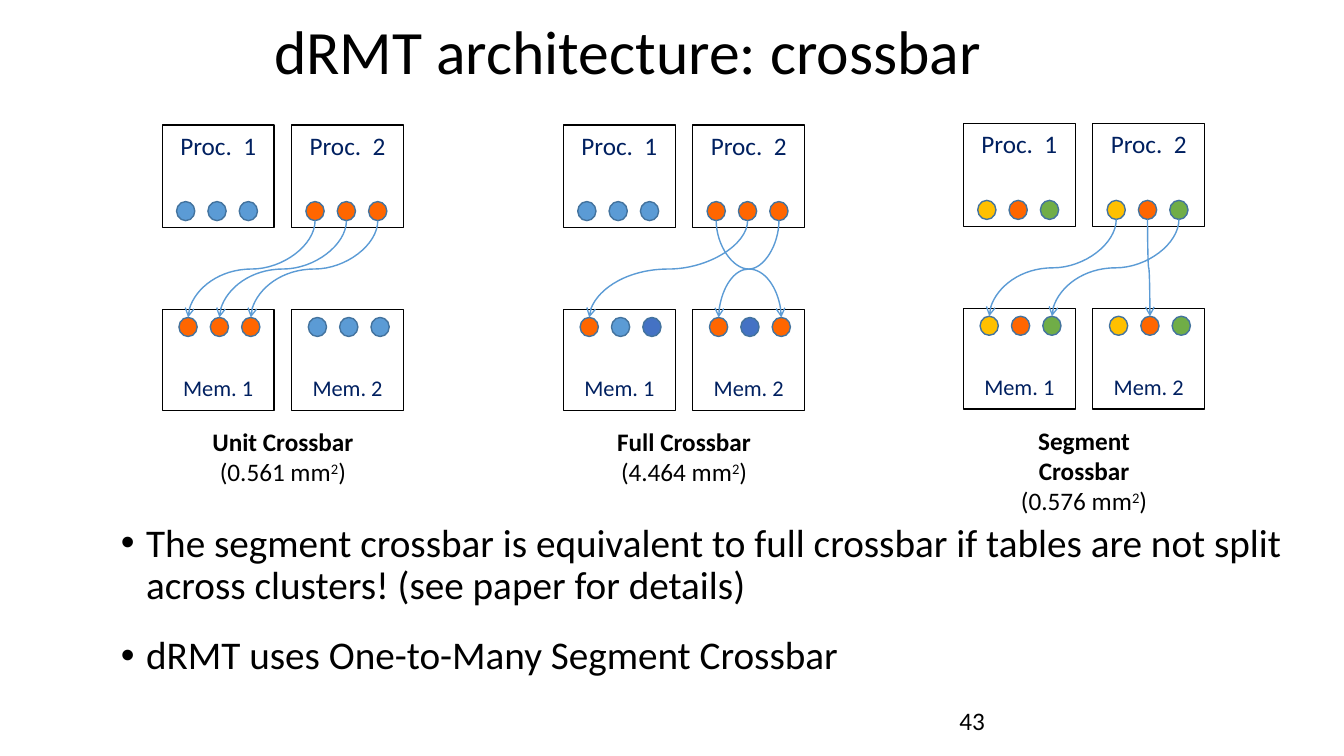
import pptx
import pptx.util
import pptx.dml.color
import pptx.enum.shapes
import pptx.enum.text
import pptx.oxml
import pptx.oxml.ns

Cm = pptx.util.Cm
Pt = pptx.util.Pt
RGBColor = pptx.dml.color.RGBColor
SHAPE = pptx.enum.shapes.MSO_SHAPE
ALIGN = pptx.enum.text.PP_ALIGN
ANCHOR = pptx.enum.text.MSO_ANCHOR

BLACK = RGBColor(0x00, 0x00, 0x00)
NAVY = RGBColor(0x00, 0x20, 0x60)
BLUE = RGBColor(0x5B, 0x9B, 0xD5)
INDIGO = RGBColor(0x44, 0x72, 0xC4)
ORANGE = RGBColor(0xFF, 0x66, 0x00)
YELLOW = RGBColor(0xFF, 0xC0, 0x00)
GREEN = RGBColor(0x70, 0xAD, 0x47)
DOT_EDGE = RGBColor(0x43, 0x73, 0x9E)

BOX_W, PROC_H, MEM_H = 2.82, 2.59, 2.54
BOX_STEP, MEM_TOP = 3.26, 4.65
DOT_W, DOT_H, DOT_STEP = 0.46, 0.48, 0.79
PROC_DOT_X, PROC_DOT_Y = 0.36, 1.93
MEM_DOT_X, MEM_DOT_Y = 0.42, 4.85
CAPTION_W = 5.08

PANELS = [
    dict(x=4.09, y=3.15, name="Unit Crossbar", area="0.561",
         procs=[[BLUE] * 3, [ORANGE] * 3],
         mems=[[ORANGE] * 3, [BLUE] * 3],
         links=[(3, 0), (4, 1), (5, 2)]),
    dict(x=14.2, y=3.15, name="Full Crossbar", area="4.464",
         procs=[[BLUE] * 3, [ORANGE] * 3],
         mems=[[ORANGE, BLUE, INDIGO], [ORANGE, INDIGO, ORANGE]],
         links=[(3, 5), (4, 0), (5, 3)]),
    dict(x=24.28, y=3.12, name="Segment Crossbar", area="0.576",
         procs=[[YELLOW, ORANGE, GREEN]] * 2,
         mems=[[YELLOW, ORANGE, GREEN]] * 2,
         links=[(3, 0), (4, 4), (5, 2)]),
]


def write(p, text, size=18, color=BLACK, bold=False, align=None, raised=False):
    """Add a formatted run to a paragraph."""
    r = p.add_run()
    r.text = text
    r.font.name = "Calibri"
    r.font.size = Pt(size)
    r.font.bold = bold
    r.font.color.rgb = color
    if align is not None:
        p.alignment = align
    if raised:
        r.font._element.set("baseline", "30000")


def place(sp, x, y, w, h):
    """Move a placeholder to a box given in centimetres."""
    sp.left, sp.top, sp.width, sp.height = Cm(x), Cm(y), Cm(w), Cm(h)


def add_outlined(shapes, kind, x, y, w, h, line, fill=None):
    """Add a preset shape with a thin outline and an optional fill."""
    sp = shapes.add_shape(kind, Cm(x), Cm(y), Cm(w), Cm(h))
    sp.shadow.inherit = False
    sp.line.color.rgb = line
    sp.line.width = Pt(1)
    if fill is None:
        sp.fill.background()
    else:
        sp.fill.solid()
        sp.fill.fore_color.rgb = fill
    return sp


def add_unit(shapes, x, y, h, text, size, anchor):
    """Draw a labelled processor or memory box."""
    tf = add_outlined(shapes, SHAPE.RECTANGLE, x, y, BOX_W, h, BLACK).text_frame
    tf.vertical_anchor = anchor
    tf.margin_bottom = Cm(0.24)
    write(tf.paragraphs[0], text, size=size, color=NAVY, align=ALIGN.CENTER)


def add_dots(shapes, x, y, colors):
    """Draw a row of ports."""
    for i, color in enumerate(colors):
        add_outlined(shapes, SHAPE.OVAL, x + i * DOT_STEP, y, DOT_W, DOT_H, DOT_EDGE, color)


def add_link(shapes, x1, y1, x2, y2):
    """Draw a curved arrow that leaves and arrives vertically."""
    cx, cy = (x1 + x2) / 2, (y1 + y2) / 2
    half_w, half_h = (y2 - y1) / 2, abs(x2 - x1) / 2
    side = 1 if x2 < x1 else -1
    c = shapes.add_connector(pptx.enum.shapes.MSO_CONNECTOR.CURVE,
                             Cm(cx - side * half_w), Cm(cy - half_h),
                             Cm(cx + side * half_w), Cm(cy + half_h))
    c.line.color.rgb = BLUE
    c.line.width = Pt(1)
    props = c._element.spPr
    props.xfrm.set("rot", str((90 if side > 0 else 270) * 60000))
    tail = pptx.oxml.parse_xml('<a:tailEnd %s type="arrow"/>' % pptx.oxml.ns.nsdecls("a"))
    c.line._get_or_add_ln().append(tail)
    props.append(pptx.oxml.parse_xml("<a:effectLst %s/>" % pptx.oxml.ns.nsdecls("a")))


def add_caption(shapes, x, y, name, area):
    """Write the crossbar name and its area."""
    tf = shapes.add_textbox(Cm(x), Cm(y), Cm(CAPTION_W), Cm(1.8)).text_frame
    tf.word_wrap = True
    write(tf.paragraphs[0], name, bold=True, align=ALIGN.CENTER)
    p = tf.add_paragraph()
    write(p, f"({area} mm", align=ALIGN.CENTER)
    write(p, "2", raised=True)
    write(p, ")")


def add_panel(s, x, y, name, area, procs, mems, links):
    """Draw one crossbar diagram from its top left corner."""
    shapes = s.shapes.add_group_shape().shapes
    for i, (proc, mem) in enumerate(zip(procs, mems)):
        left = x + i * BOX_STEP
        add_unit(shapes, left, y, PROC_H, f"Proc.  {i + 1}", 18, ANCHOR.TOP)
        add_unit(shapes, left, y + MEM_TOP, MEM_H, f"Mem. {i + 1}", 16, ANCHOR.BOTTOM)
        add_dots(shapes, left + PROC_DOT_X, y + PROC_DOT_Y, proc)
        add_dots(shapes, left + MEM_DOT_X, y + MEM_DOT_Y, mem)

    def port_x(port, offset):
        """Return the centre of a port counted across both boxes."""
        box, dot = divmod(port, 3)
        return x + box * BOX_STEP + offset + dot * DOT_STEP + DOT_W / 2

    for start, end in links:
        add_link(shapes, port_x(start, PROC_DOT_X), y + PROC_DOT_Y + DOT_H,
                 port_x(end, MEM_DOT_X), y + MEM_DOT_Y)
    add_caption(shapes, x + (BOX_STEP + BOX_W - CAPTION_W) / 2, y + 7.47, name, area)


def add_title(s, x, y, w, h, text):
    """Fill the title placeholder."""
    sp = s.shapes.title
    place(sp, x, y, w, h)
    sp.text_frame.vertical_anchor = ANCHOR.MIDDLE
    p = sp.text_frame.paragraphs[0]
    p.line_spacing = 0.9
    write(p, text, size=44, align=ALIGN.CENTER)


def add_bullets(s, x, y, w, h, items):
    """Fill the body placeholder with a bulleted list."""
    sp = s.placeholders[1]
    place(sp, x, y, w, h)
    tf = sp.text_frame
    tf.auto_size = pptx.enum.text.MSO_AUTO_SIZE.NONE
    for i, item in enumerate(items):
        p = tf.add_paragraph() if i else tf.paragraphs[0]
        p.line_spacing = 0.9
        p.space_before = Pt(20 if i else 0)
        props = p._p.get_or_add_pPr()
        props.set("marL", str(Cm(0.64)))
        props.set("indent", str(-Cm(0.64)))
        write(p, item, size=28)


def add_page_number(s, x, y, w, h, text):
    """Write the page number."""
    tf = s.shapes.add_textbox(Cm(x), Cm(y), Cm(w), Cm(h)).text_frame
    tf.word_wrap = True
    write(tf.paragraphs[0], text)


def main():
    """Build and save the slide."""
    prs = pptx.Presentation()
    prs.slide_width, prs.slide_height = Cm(33.87), Cm(19.05)
    s = prs.slides.add_slide(prs.slide_layouts[1])
    add_title(s, 1.22, 0.03, 29.21, 2.69, "dRMT architecture: crossbar")
    add_bullets(s, 2.79, 13.06, 30.1, 6.1, [
        "The segment crossbar is equivalent to full crossbar if tables are not split "
        "across clusters! (see paper for details)",
        "dRMT uses One-to-Many Segment Crossbar",
    ])
    for panel in PANELS:
        add_panel(s, **panel)
    add_page_number(s, 23.93, 17.65, 7.62, 1.02, "43")
    prs.save("out.pptx")


if __name__ == "__main__":
    main()
